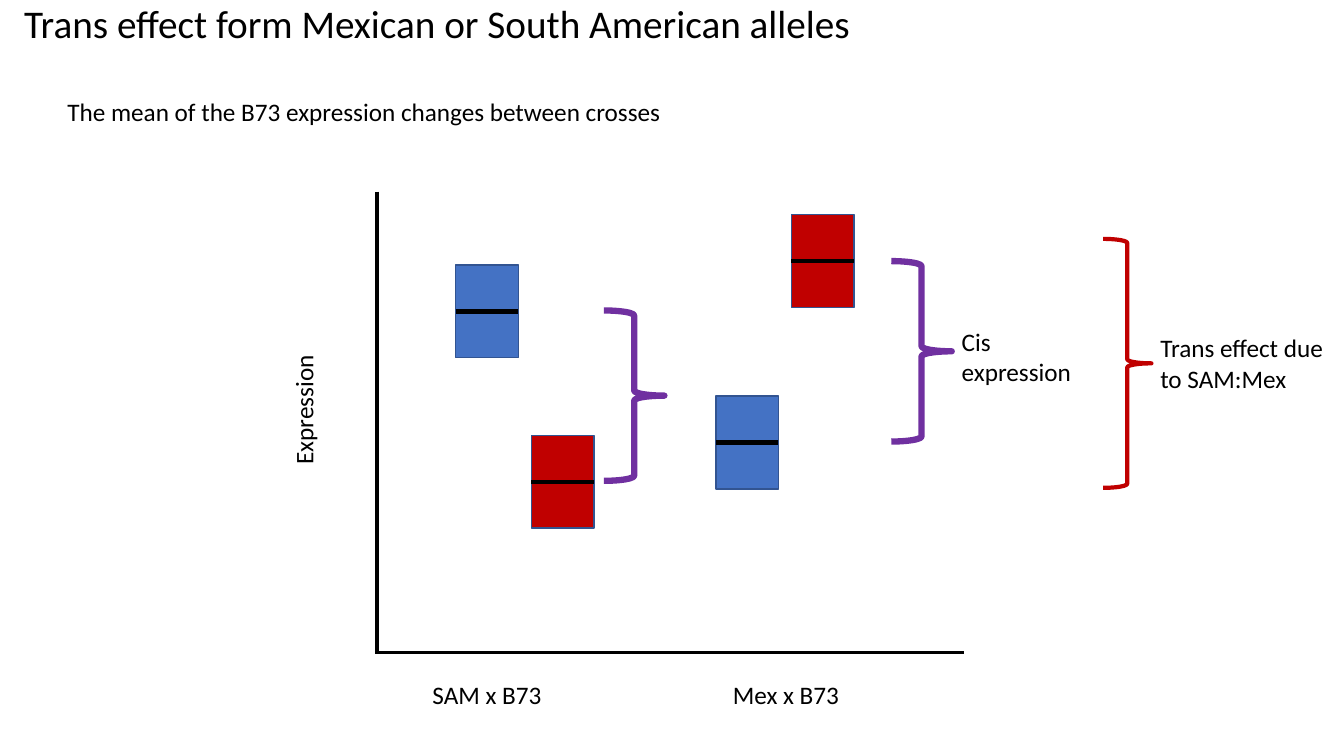
from dataclasses import dataclass

from lxml.etree import SubElement
from pptx import Presentation
from pptx.dml.color import RGBColor
from pptx.enum.shapes import MSO_CONNECTOR, MSO_SHAPE
from pptx.enum.text import MSO_ANCHOR, MSO_AUTO_SIZE
from pptx.oxml.ns import qn
from pptx.util import Inches, Pt

BLACK, BLUE, RED, PURPLE = "000000", "4472C4", "C00000", "7030A0"
BOX_EDGE = "325491"
BOX_W, BOX_H = 0.62, 0.92


@dataclass
class Label:
    text: str
    left: float
    top: float
    width: float
    height: float = 0.4
    size: int = 18
    rotation: int = 0
    spacing: float = 1.0


@dataclass
class ExpressionBox:
    left: float
    top: float
    color: str


@dataclass
class Brace:
    left: float
    top: float
    width: float
    height: float
    color: str
    weight: float


LABELS = [
    Label("Trans effect form Mexican or South American alleles",
          0.14, 0, 11.5, 0.94, size=28, spacing=0.9),
    Label("The mean of the B73 expression changes between crosses", 0.57, 0.91, 10.27),
    Label("Expression", 2.36, 3.86, 1.3, rotation=270),
    Label("SAM x B73", 4.19, 6.69, 2.13),
    Label("Mex x B73", 7.17, 6.69, 1.97),
    Label("Cis expression", 9.44, 3.19, 1.39, 0.71),
    Label("Trans effect due to SAM:Mex", 11.41, 3.25, 1.91, 0.71),
]
BOXES = [
    ExpressionBox(4.52, 2.63, BLUE),
    ExpressionBox(5.27, 4.32, RED),
    ExpressionBox(7.1, 3.93, BLUE),
    ExpressionBox(7.85, 2.13, RED),
]
BRACES = [
    Brace(5.99, 3.08, 0.6, 1.69, PURPLE, 4.5),
    Brace(8.84, 2.59, 0.6, 1.79, PURPLE, 4.5),
    Brace(10.94, 2.37, 0.48, 2.47, RED, 3),
]


def rgb(color: str) -> RGBColor:
    return RGBColor.from_string(color)


def add_line(shapes, x1: float, y1: float, x2: float, y2: float, weight: float) -> None:
    s = shapes.add_connector(MSO_CONNECTOR.STRAIGHT,
                             Inches(x1), Inches(y1), Inches(x2), Inches(y2))
    s.line.color.rgb = rgb(BLACK)
    s.line.width = Pt(weight)
    SubElement(s._element.spPr, qn("a:effectLst"))


def add_label(shapes, label: Label) -> None:
    s = shapes.add_textbox(Inches(label.left), Inches(label.top),
                           Inches(label.width), Inches(label.height))
    s.rotation = label.rotation
    tf = s.text_frame
    tf.word_wrap = True
    tf.auto_size = MSO_AUTO_SIZE.NONE
    tf.vertical_anchor = MSO_ANCHOR.TOP
    p = tf.paragraphs[0]
    p.line_spacing = label.spacing
    r = p.add_run()
    r.text = label.text
    r.font.name = "Calibri"
    r.font.size = Pt(label.size)
    r.font.color.rgb = rgb(BLACK)


def add_expression_box(shapes, box: ExpressionBox) -> None:
    group = shapes.add_group_shape().shapes
    s = group.add_shape(MSO_SHAPE.RECTANGLE, Inches(box.left), Inches(box.top),
                        Inches(BOX_W), Inches(BOX_H))
    s.shadow.inherit = False
    s.fill.solid()
    s.fill.fore_color.rgb = rgb(box.color)
    s.line.color.rgb = rgb(BOX_EDGE)
    s.line.width = Pt(1)
    mean = box.top + BOX_H / 2
    add_line(group, box.left, mean, box.left + BOX_W, mean, 3)


def add_brace(shapes, brace: Brace) -> None:
    s = shapes.add_shape(MSO_SHAPE.RIGHT_BRACE, Inches(brace.left), Inches(brace.top),
                         Inches(brace.width), Inches(brace.height))
    s.shadow.inherit = False
    s.fill.background()
    s.line.color.rgb = rgb(brace.color)
    s.line.width = Pt(brace.weight)


def main() -> None:
    prs = Presentation()
    prs.slide_width, prs.slide_height = Inches(13.33), Inches(7.5)
    shapes = prs.slides.add_slide(prs.slide_layouts[6]).shapes

    # Axes
    add_line(shapes, 3.74, 1.9, 3.74, 6.49, 2.25)
    add_line(shapes, 9.56, 6.47, 3.73, 6.47, 2.25)

    # Expression boxes with their means
    for box in BOXES:
        add_expression_box(shapes, box)

    # Braces marking cis and trans effects
    for brace in BRACES:
        add_brace(shapes, brace)

    # Title, axis labels and annotations
    for label in LABELS:
        add_label(shapes, label)

    prs.save("out.pptx")


if __name__ == "__main__":
    main()
